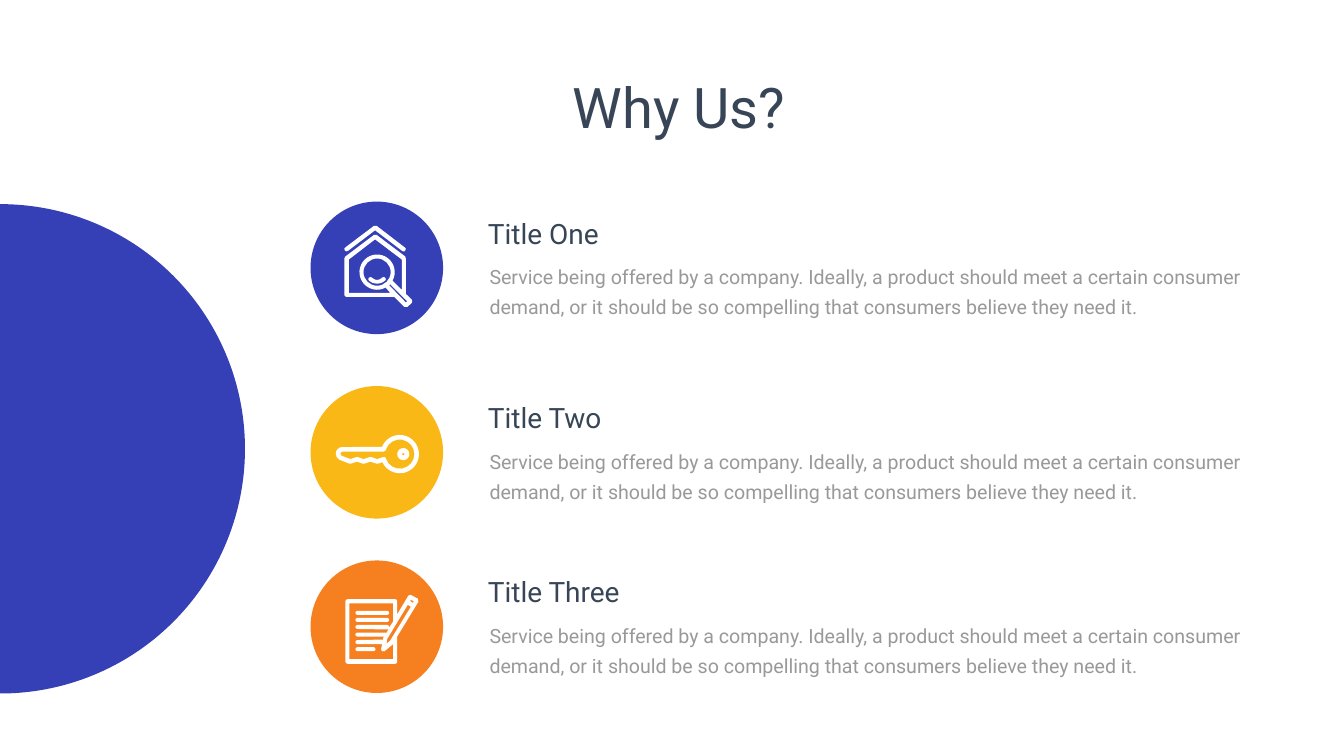
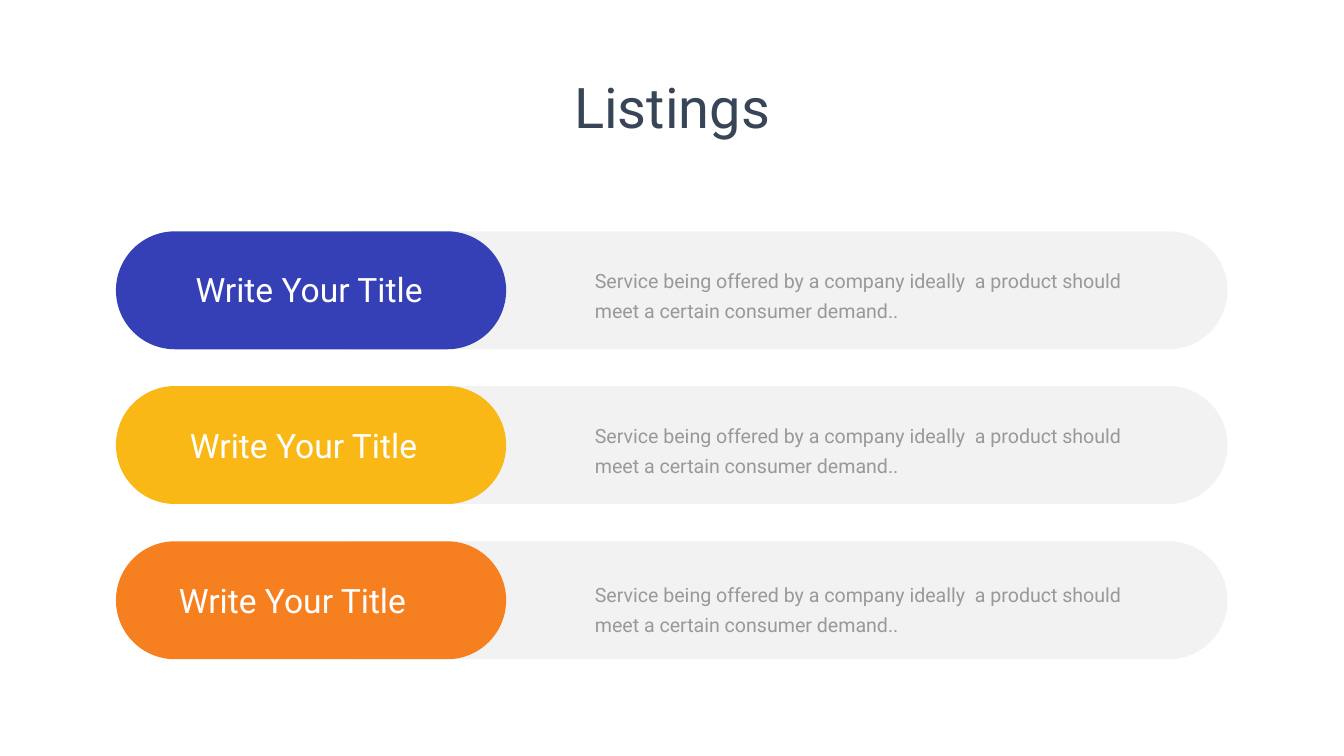
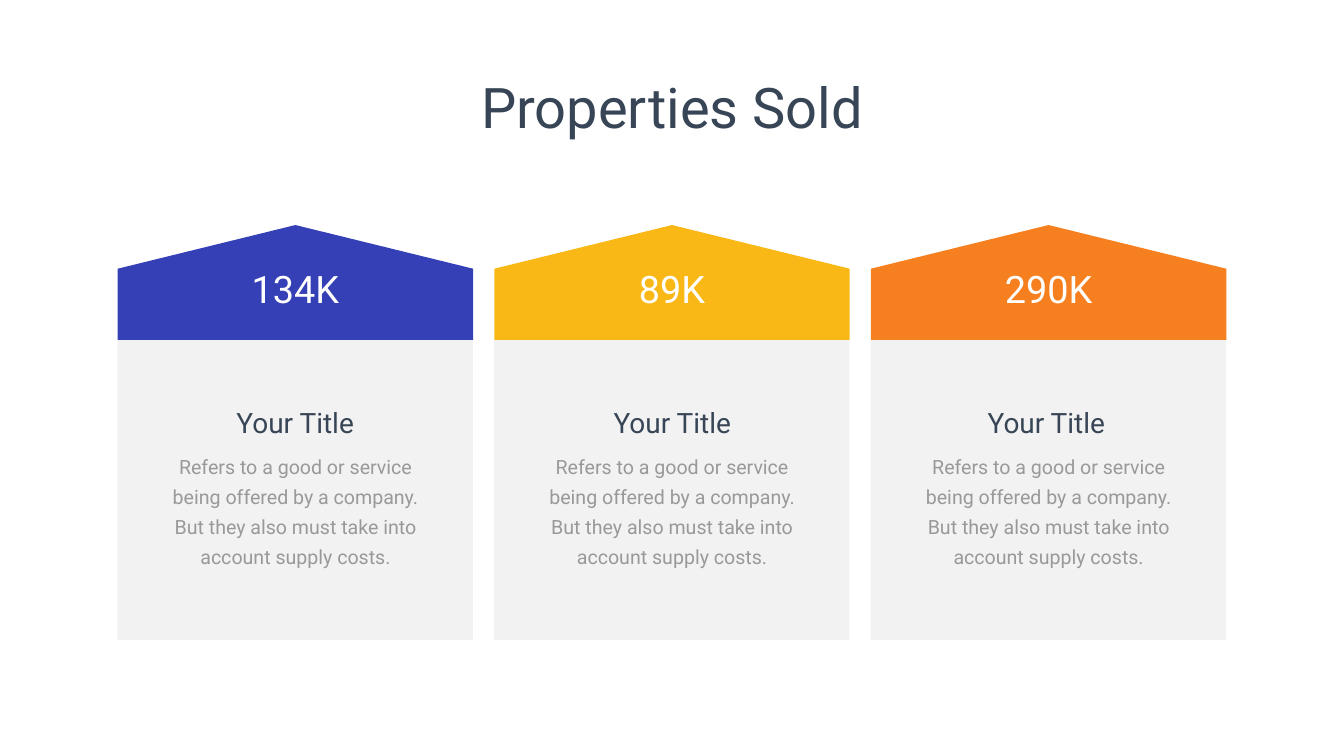
import math

import lxml.etree
import pptx
import pptx.dml.color
import pptx.enum.shapes
import pptx.enum.text
import pptx.oxml.ns
import pptx.util

SHAPE = pptx.enum.shapes.MSO_SHAPE
ALIGN = pptx.enum.text.PP_ALIGN
FONT = "Roboto"
WHITE, NAVY, GRAY, PANEL = "FFFFFF", "374556", "999999", "808080"
ACCENTS = BLUE, YELLOW, ORANGE = "3540B6", "FAB817", "F68020"
SERVICE = (
    "Service being offered by a company. Ideally, a product should meet a certain consumer "
    "demand, or it should be so compelling that consumers believe they need it."
)
LISTING = (
    "Service being offered by a company ideally  a product should "
    "meet a certain consumer demand.."
)
GOODS = (
    "Refers to a good or service being offered by a company. "
    "But they also must take into account supply costs."
)


def color(hex_value):
    return pptx.dml.color.RGBColor.from_string(hex_value)


def inches(*values):
    return [pptx.util.Inches(value) for value in values]


def arc(center_x, center_y, radius, start, end, curves=4):
    step = math.radians(end - start) / curves
    reach = 4 / 3 * math.tan(step / 4)

    def near(angle, pull):
        return (center_x + radius * (math.cos(angle) - pull * math.sin(angle)),
                center_y + radius * (math.sin(angle) + pull * math.cos(angle)))

    angles = [math.radians(start) + step * i for i in range(curves + 1)]
    return [near(angles[0], 0)] + [
        near(a, reach) + near(b, -reach) + near(b, 0) for a, b in zip(angles, angles[1:])]


def circle(center_x, center_y, radius):
    return arc(center_x, center_y, radius, 0, 360)


def bar(left, right, middle, radius=0.04):
    return (arc(right - radius, middle, radius, -90, 90, 2)
            + arc(left + radius, middle, radius, 90, 270, 2))


def write(frame, text, size=28, ink=GRAY, align=ALIGN.LEFT, spacing=None, wrap=True,
          margins=(0.1, 0.05)):
    frame.word_wrap = wrap
    frame.auto_size = pptx.enum.text.MSO_AUTO_SIZE.SHAPE_TO_FIT_TEXT
    frame.vertical_anchor = pptx.enum.text.MSO_ANCHOR.TOP
    frame.margin_left = frame.margin_right = pptx.util.Inches(margins[0])
    frame.margin_top = frame.margin_bottom = pptx.util.Inches(margins[1])
    paragraph = frame.paragraphs[0]
    paragraph.alignment = align
    if spacing:
        paragraph.line_spacing = pptx.util.Pt(spacing)
    run = paragraph.add_run()
    run.text = text
    run.font.name = FONT
    run.font.size = pptx.util.Pt(size)
    run.font.color.rgb = color(ink)


class Deck:
    def __init__(self):
        self.presentation = pptx.Presentation()
        self.presentation.slide_width, self.presentation.slide_height = inches(26.66, 15)
        self.slide = None

    def start(self, title):
        self.slide = self.presentation.slides.add_slide(self.presentation.slide_layouts[5])
        self.slide.background.fill.solid()
        self.slide.background.fill.fore_color.rgb = color(WHITE)
        heading = self.slide.shapes.title
        heading.left, heading.top, heading.width, heading.height = inches(8.79, 1.39, 9.09, 1.45)
        write(heading.text_frame, title, size=80, ink=NAVY, align=ALIGN.CENTER)

    def text(self, box, content, **style):
        write(self.slide.shapes.add_textbox(*inches(*box)).text_frame, content, **style)

    def paragraph(self, box, content):
        self.text(box, content, spacing=43, margins=(0.24, 0.12))

    def paint(self, shape, fill, alpha=None):
        shape.shadow.inherit = False
        shape.line.fill.background()
        shape.fill.solid()
        shape.fill.fore_color.rgb = color(fill)
        if alpha:
            tint = shape._element.spPr.find(".//" + pptx.oxml.ns.qn("a:srgbClr"))
            opacity = lxml.etree.SubElement(tint, pptx.oxml.ns.qn("a:alpha"))
            opacity.set("val", str(alpha * 1000))

    def shape(self, kind, box, fill, alpha=None, adjustments=(), rotation=0):
        shape = self.slide.shapes.add_shape(kind, *inches(*box))
        for index, value in enumerate(adjustments):
            shape.adjustments[index] = value
        shape.rotation = rotation
        self.paint(shape, fill, alpha)

    def outline(self, *contours, fill=WHITE, alpha=None):
        builder = self.slide.shapes.build_freeform(*inches(*contours[0][0]))
        for index, contour in enumerate(contours):
            if index:
                builder.move_to(*inches(*contour[0]))
            points = [step[i:i + 2] for step in contour[1:] for i in range(0, len(step), 2)]
            builder.add_line_segments([inches(*point) for point in points], close=True)
        outline = builder.convert_to_shape()
        self.bend(outline, contours)
        self.paint(outline, fill, alpha)

    def bend(self, outline, contours):
        segments = iter(list(outline._element.spPr.find(".//" + pptx.oxml.ns.qn("a:path"))))
        for contour in contours:
            for step in contour:
                segment = next(segments)
                if len(step) == 6:
                    segment.addprevious(
                        curve := segment.makeelement(pptx.oxml.ns.qn("a:cubicBezTo")))
                    for control in (segment, next(segments), next(segments)):
                        curve.append(control[0])
                        control.getparent().remove(control)
            next(segments)

    def panel(self, left, top, width, height):
        radius = height / 2
        cap = arc(left + width - radius, top + radius, radius, -90, 90, 2)
        self.outline([(left, top), *cap, (left, top + height)], fill=PANEL, alpha=10)

    def house_icon(self):
        self.outline([
            (6.9, 4.98), (7.44, 4.57), (7.98, 4.98), (8, 5, 8.03, 4.99, 8.04, 4.97),
            (8.06, 4.95, 8.05, 4.92, 8.03, 4.91), (7.47, 4.48),
            (7.45, 4.47, 7.43, 4.47, 7.42, 4.48), (6.85, 4.91),
            (6.83, 4.92, 6.82, 4.95, 6.84, 4.97), (6.85, 4.99, 6.88, 4.99, 6.9, 4.98)])
        handle = [(7.72, 5.66), (7.74, 5.64), (8.08, 5.98), (8.05, 6)]
        room = [(6.92, 5.15), (7.44, 4.75), (7.97, 5.15), (7.97, 5.75),
                *arc(7.48, 5.4, 0.35, 29, -299), (7.74, 5.81), (6.92, 5.81)]
        walls = [
            (8.17, 5.95), (8.05, 5.83), (8.05, 5.13), (8.05, 5.11, 8.05, 5.1, 8.04, 5.09),
            (7.47, 4.66), (7.45, 4.66, 7.43, 4.66, 7.42, 4.66), (6.85, 5.09),
            (6.84, 5.1, 6.83, 5.11, 6.83, 5.13), (6.83, 5.85),
            (6.83, 5.87, 6.85, 5.89, 6.87, 5.89), (7.82, 5.89), (8.02, 6.09),
            (8.04, 6.1, 8.06, 6.1, 8.08, 6.09), (8.17, 6.01),
            (8.18, 5.99, 8.18, 5.96, 8.17, 5.95)]
        self.outline(handle, circle(7.48, 5.4, 0.27), room, walls)
        self.outline([
            (7.64, 5.51), (7.62, 5.49, 7.6, 5.49, 7.58, 5.51),
            (7.52, 5.57, 7.44, 5.57, 7.38, 5.51), (7.36, 5.49, 7.34, 5.49, 7.32, 5.51),
            (7.3, 5.52, 7.3, 5.55, 7.32, 5.57), (7.41, 5.65, 7.55, 5.65, 7.64, 5.57),
            (7.66, 5.55, 7.66, 5.52, 7.64, 5.51)])

    def key_icon(self):
        inside = [
            (6.79, 8.96), (7.61, 8.96), (7.63, 8.96, 7.65, 8.95, 7.66, 8.93),
            *arc(7.93, 9.01, 0.29, -162, 162), (7.66, 9.09, 7.64, 9.05, 7.6, 9.07),
            (7.48, 9.11), (7.37, 9.07), (7.33, 9.07), (7.21, 9.11), (7.1, 9.07), (7.07, 9.07),
            (6.95, 9.11), (6.77, 9.04), (6.74, 9.02, 6.74, 8.96, 6.79, 8.96)]
        edge = [
            (6.73, 9.12), (6.93, 9.2), (6.96, 9.2), (7.08, 9.16), (7.2, 9.2), (7.23, 9.2),
            (7.35, 9.16), (7.47, 9.2), (7.5, 9.2), *arc(7.93, 9.01, 0.38, 155, -158),
            (6.79, 8.87), (6.72, 8.87, 6.66, 8.93, 6.66, 9), (6.66, 9.05, 6.69, 9.1, 6.73, 9.12)]
        self.outline(inside, edge)
        self.outline(circle(8, 9.01, 0.03), circle(8, 9.01, 0.12))

    def contract_icon(self):
        for end, middle in ((7.72, 12.16), (7.72, 12.3), (7.45, 12.88)):
            self.outline(bar(7.05, end, middle))
        page = [
            (6.93, 13.08), (6.93, 11.97), (7.8, 11.97), (7.8, 12.33), (7.72, 12.45),
            (7.72, 12.42, 7.71, 12.4, 7.68, 12.4), *arc(7.09, 12.44, 0.04, 270, 90, 2),
            (7.68, 12.49), (7.71, 12.48), (7.67, 12.55),
            *arc(7.09, 12.59, 0.04, 270, 90, 2), (7.62, 12.63), (7.6, 12.66), (7.6, 12.69),
            *arc(7.09, 12.74, 0.04, 270, 90, 2), (7.58, 12.78), (7.56, 12.88),
            (7.55, 12.91, 7.59, 12.95, 7.63, 12.92), (7.8, 12.78), (7.8, 13.08)]
        eraser = [(8.19, 11.96), (8.14, 11.93), (8.15, 11.9), (8.21, 11.93)]
        pencil = [(7.74, 12.71), (7.67, 12.77), (7.68, 12.68), (8.09, 12), (8.15, 12.04)]
        edge = [
            (8.29, 11.88), (8.16, 11.81), (8.14, 11.8, 8.11, 11.8, 8.1, 11.82), (7.88, 12.19),
            (7.88, 11.93), (7.88, 11.91, 7.87, 11.89, 7.84, 11.89), (6.89, 11.89),
            (6.87, 11.89, 6.85, 11.91, 6.85, 11.93), (6.85, 13.12),
            (6.85, 13.15, 6.87, 13.17, 6.89, 13.17), (7.84, 13.17),
            (7.87, 13.17, 7.88, 13.15, 7.88, 13.12), (7.88, 12.63), (8.3, 11.94),
            (8.31, 11.92, 8.31, 11.9, 8.29, 11.88)]
        self.outline(page, eraser, pencil, edge)


def why_us(deck):
    deck.start(" Why Us?")
    deck.shape(SHAPE.CHORD, (-4.85, 4.05, 9.71, 9.71), BLUE, adjustments=(162, 54))
    reasons = (
        (4, "Title One", deck.house_icon),
        (7.66, "Title Two", deck.key_icon),
        (11.12, "Title Three", deck.contract_icon),
    )
    for (top, reason, draw_icon), accent in zip(reasons, ACCENTS):
        deck.shape(SHAPE.OVAL, (6.16, top, 2.63, 2.63), accent)
        draw_icon()
        deck.paragraph((9.47, top + 1.01, 15.47, 1.39), SERVICE)
        deck.text((9.58, top + 0.24, 3.97, 0.77), reason, size=40, ink=NAVY)


def listings(deck):
    deck.start("Listings")
    rows = ((4.59, 3.78, 5.28, 5.09), (7.66, 3.67, 8.39, 8.16), (10.74, 3.45, 11.45, 11.31))
    for (top, label_left, label_top, detail_top), accent in zip(rows, ACCENTS):
        deck.panel(6.95, top, 17.4, 2.34)
        deck.shape(SHAPE.ROUNDED_RECTANGLE, (2.3, top, 7.74, 2.34), accent, adjustments=(0.5,))
        deck.text((label_left, label_top, 5.31, 1.01), "Write Your Title", size=48, ink=WHITE,
                  wrap=False)
        deck.paragraph((11.56, detail_top, 11.32, 1.39), LISTING)


def properties_sold(deck):
    deck.start("Properties Sold")
    columns = (("134K", 4.56), ("89K", 12.04), ("290K", 19.46))
    for index, ((sold, label_left), accent) in enumerate(zip(columns, ACCENTS)):
        middle = 5.86 + 7.47 * index
        deck.shape(SHAPE.PENTAGON, (middle - 1.14, 2.08, 2.28, 7.05), accent,
                   adjustments=(0.38,), rotation=270)
        deck.shape(SHAPE.RECTANGLE, (middle - 3.53, 6.74, 7.05, 5.96), PANEL, alpha=10)
        deck.text((middle - 1.73, 5.22, 3.46, 1.01), sold, size=54, ink=WHITE,
                  align=ALIGN.CENTER)
        deck.text((label_left, 8, 2.59, 0.77), "Your Title", size=40, ink=NAVY,
                  align=ALIGN.CENTER, wrap=False)
        deck.text((middle - 2.64, 8.85, 5.28, 2.46), GOODS, align=ALIGN.CENTER, spacing=43)


def main():
    deck = Deck()
    why_us(deck)
    listings(deck)
    properties_sold(deck)
    deck.presentation.save("out.pptx")


if __name__ == "__main__":
    main()
